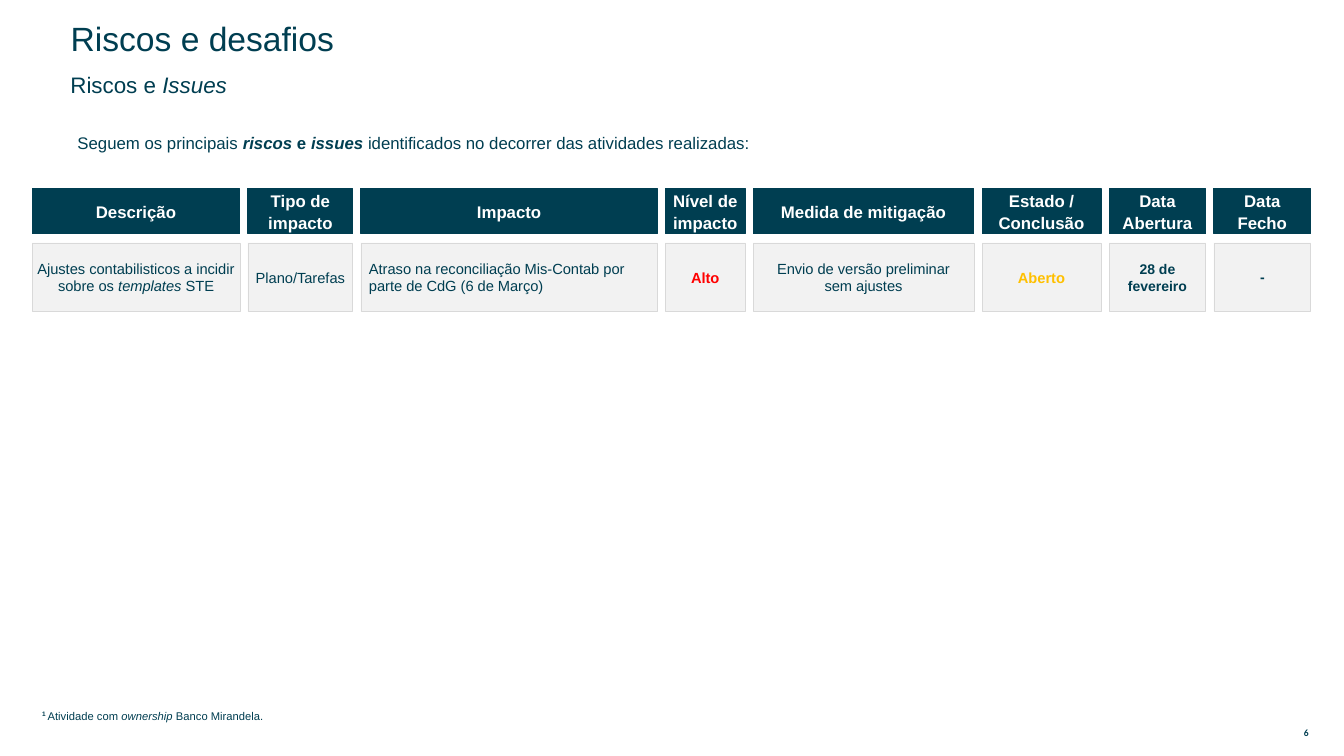
from dataclasses import dataclass

from pptx import Presentation
from pptx import util as u
from pptx.dml.color import RGBColor
from pptx.enum import shapes, text


@dataclass(frozen=True)
class Theme:
    """Colours, fonts and type sizes of the slide."""
    ink: str = "003E51"
    white: str = "FFFFFF"
    cell: str = "F2F2F2"
    edge: str = "D9D9D9"
    high: str = "FF0000"
    open: str = "FFC000"
    font: str = "Arial"
    number_font: str = "Calibri"
    title: float = 24
    subtitle: float = 16
    body: float = 12
    entry: float = 10.5
    date: float = 10
    note: float = 8
    number: float = 6.8


T = Theme()
LEFT, CENTER = text.PP_ALIGN.LEFT, text.PP_ALIGN.CENTER
MIDDLE, TOP = text.MSO_ANCHOR.MIDDLE, text.MSO_ANCHOR.TOP
GAP = 0.08
HEADER_HEIGHT = 0.45
ROW_TOP, ROW_HEIGHT = 0.54, 0.68
NARROW, MEDIUM, WIDE = 0.04, 0.08, 0.12

COLUMNS = [
    (2.06, "Descrição"),
    (1.04, "Tipo de impacto"),
    (2.94, "Impacto"),
    (0.79, "Nível de impacto"),
    (2.19, "Medida de mitigação"),
    (1.18, "Estado / Conclusão"),
    (0.96, "Data Abertura"),
    (0.96, "Data Fecho"),
]
RISKS = [
    [
        dict(paras=[[("Ajustes contabilisticos a incidir sobre os ", ""),
                     ("templates", "i"), (" STE", "")]]),
        dict(paras=[[("Plano/Tarefas", "")]], spacing=1.1),
        dict(paras=[[("Atraso na reconciliação Mis-Contab por parte de CdG (6 de Março)", "")]],
             align=LEFT, side=MEDIUM),
        dict(paras=[[("Alto", "b")]], color=T.high, side=0),
        dict(paras=[[("Envio de versão preliminar sem ajustes", "")]], side=WIDE),
        dict(paras=[[("Aberto", "b")]], color=T.open, side=WIDE),
        dict(paras=[[("28 de", "b")], [("fevereiro", "b")]], size=T.date, side=WIDE),
        dict(paras=[[("-", "b")]], size=T.date, side=WIDE),
    ],
]


def write(sp, paras, size, color=T.ink, align=LEFT, anchor=MIDDLE,
          side=0.1, edge=0.05, spacing=1.0, font=T.font):
    """Fill a shape with paragraphs of (text, style) runs; styles are b, i and ^."""
    tf = sp.text_frame
    tf.word_wrap, tf.auto_size = True, text.MSO_AUTO_SIZE.NONE
    tf.vertical_anchor = anchor
    tf.margin_left = tf.margin_right = u.Inches(side)
    tf.margin_top = tf.margin_bottom = u.Inches(edge)
    for i, runs in enumerate(paras):
        p = tf.add_paragraph() if i else tf.paragraphs[0]
        p.alignment, p.line_spacing = align, spacing
        for words, style in runs:
            r = p.add_run()
            r.text = words
            r.font.name, r.font.size = font, u.Pt(size)
            r.font.bold, r.font.italic = "b" in style, "i" in style
            r.font.color.rgb = RGBColor.from_string(color)
            if "^" in style:
                r.font._element.set("baseline", "30000")


def add_text(s, box, paras, size, **look):
    """Add a text box in the given box."""
    write(s.shapes.add_textbox(*map(u.Inches, box)), paras, size, **look)


def add_cell(s, box, fill, line, width, paras, size=T.entry, side=NARROW, align=CENTER, **look):
    """Add one filled and outlined cell in the given box."""
    sp = s.shapes.add_shape(shapes.MSO_SHAPE.RECTANGLE, *map(u.Inches, box))
    sp.shadow.inherit = False
    sp.fill.solid()
    sp.fill.fore_color.rgb = RGBColor.from_string(fill)
    sp.line.color.rgb = RGBColor.from_string(line)
    sp.line.width = u.Pt(width)
    write(sp, paras, size, side=side, edge=min(side, NARROW), align=align, **look)


def add_heading(s, left, top, width):
    """Place the title and the subtitle below it."""
    sp = s.shapes.title
    sp.left, sp.top, sp.width, sp.height = map(u.Inches, (left, top, width, 0.26))
    write(sp, [[("Riscos e desafios", "")]], T.title, spacing=0.9)
    add_text(s, (left, top + 0.46, width, 0.26),
             [[("Riscos e ", ""), ("Issues", "i")]], T.subtitle, spacing=0.9)


def add_intro(s, box):
    """Place the sentence that introduces the risks."""
    add_text(s, box, [[("Seguem os principais ", ""), ("riscos ", "bi"), ("e ", "b"),
                       ("issues ", "bi"),
                       ("identificados no decorrer das atividades realizadas:", "")]],
             T.body, anchor=TOP)


def add_risk_grid(s, left, top):
    """Place the header cells and one row of cells for each risk."""
    x = left
    for col, (width, label) in enumerate(COLUMNS):
        add_cell(s, (x, top, width, HEADER_HEIGHT), T.ink, T.ink, 0.75,
                 [[(label, "b")]], T.body, color=T.white, spacing=1.1)
        for row, risk in enumerate(RISKS):
            y = top + ROW_TOP + row * (ROW_HEIGHT + GAP)
            add_cell(s, (x, y, width, ROW_HEIGHT), T.cell, T.edge, 0.5, **risk[col])
        x += width + GAP


def add_footer(s, left, top):
    """Place the footnote and the page number."""
    add_text(s, (left, top, 11.76, 0.25),
             [[("1 ", "b^"), ("Atividade com ", ""), ("ownership", "i"),
               (" Banco Mirandela.", "")]], T.note, anchor=TOP, spacing=1.1)
    add_text(s, (12.73, top + 0.22, 0.45, 0.16), [[("6", "b")]], T.number,
             align=CENTER, side=0.06, edge=0.03, font=T.number_font)


def main():
    """Build the slide and save it."""
    prs = Presentation()
    prs.slide_width, prs.slide_height = u.Inches(13.33), u.Inches(7.5)
    s = prs.slides.add_slide(prs.slide_layouts[5])
    add_heading(s, 0.6, 0.27, 7.95)
    add_intro(s, (0.67, 1.27, 12.15, 0.44))
    add_risk_grid(s, 0.32, 1.87)
    add_footer(s, 0.32, 6.97)
    prs.save("out.pptx")


if __name__ == "__main__":
    main()
